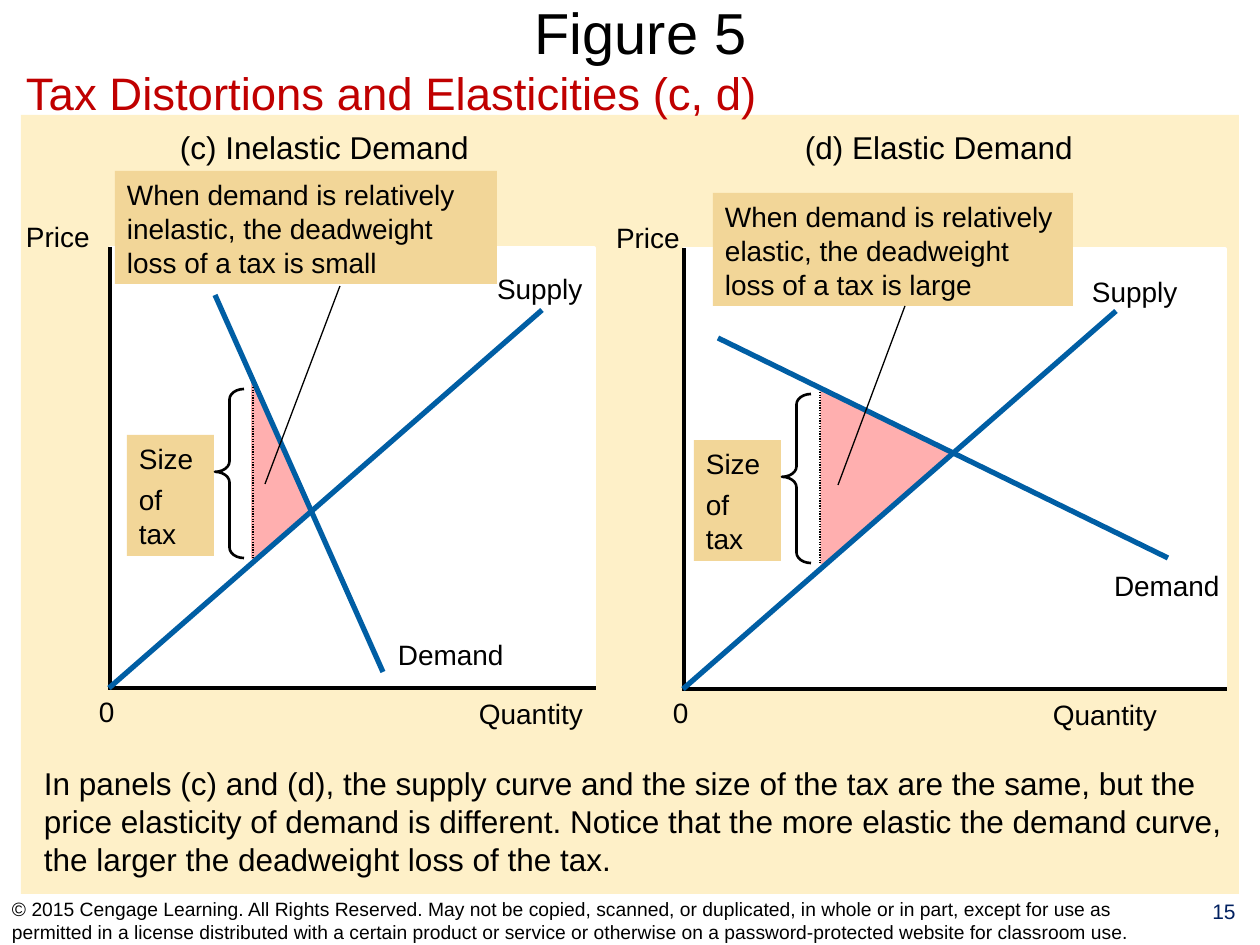
"""Build the slide on tax distortions under inelastic and elastic demand."""
import pptx
import pptx.dml.color
import pptx.enum.dml
import pptx.enum.shapes
import pptx.enum.text
import pptx.oxml.ns
import pptx.util
from lxml import etree

SCALE = 914400 / 126
BLACK = pptx.dml.color.RGBColor(0x00, 0x00, 0x00)
WHITE = pptx.dml.color.RGBColor(0xFF, 0xFF, 0xFF)
RED = pptx.dml.color.RGBColor(0xC0, 0x00, 0x00)
NAVY = pptx.dml.color.RGBColor(0x00, 0x20, 0x60)
BLUE = pptx.dml.color.RGBColor(0x00, 0x5E, 0xA4)
CREAM = pptx.dml.color.RGBColor(0xFE, 0xF0, 0xC8)
TAN = pptx.dml.color.RGBColor(0xF2, 0xD6, 0x98)
PINK = pptx.dml.color.RGBColor(0xFF, 0xAF, 0xAF)

SHAPES = pptx.enum.shapes.MSO_SHAPE
ANCHOR = pptx.enum.text.MSO_ANCHOR
CENTER = pptx.enum.text.PP_ALIGN.CENTER
LABEL_HEIGHT = 46

PANELS = [
    {
        "box": (110, 247, 484, 439),
        "heading": ("(c) Inelastic Demand", (58, -126, 330, 50)),
        "price": -96,
        "supply": (375, 18),
        "demand": (276, 384),
        "demand_line": (105, 48, 273, 425),
        "callout": ("When demand is relatively inelastic, the deadweight loss of a tax is small",
                    (5, -76, 382, 113)),
        "pointer": (155, 237, 230, 39),
        "tag": (17, 188),
        "loss": (143, 135, 55, 176),
        "apex": 0.72,
    },
    {
        "box": (684, 248, 541, 439),
        "heading": ("(d) Elastic Demand", (109, -127, 330, 50)),
        "price": -80,
        "supply": (396, 20),
        "demand": (418, 314),
        "demand_line": (34, 90, 484, 310),
        "callout": ("When demand is relatively elastic, the deadweight loss of a tax is large",
                    (29, -55, 360, 113)),
        "pointer": (154, 237, 221, 58),
        "tag": (10, 192),
        "loss": (138, 142, 129, 173),
        "apex": 0.37,
    },
]


def px(length):
    """Turn pixels into EMU."""
    return pptx.util.Emu(round(length * SCALE))


def shift(box, left, top):
    """Move a box from panel to slide coordinates."""
    return (box[0] + left, box[1] + top, *box[2:])


def write(shape, lines, size=16, color=BLACK, anchor=ANCHOR.TOP, align=None):
    """Fill a shape with paragraphs of one format."""
    frame = shape.text_frame
    frame_format = {
        "word_wrap": True, "vertical_anchor": anchor,
        "margin_left": px(12), "margin_right": px(12),
        "margin_top": px(7), "margin_bottom": px(6),
    }
    for name, value in frame_format.items():
        setattr(frame, name, value)
    for index, line in enumerate(lines):
        paragraph = frame.add_paragraph() if index else frame.paragraphs[0]
        paragraph.text = line
        paragraph.alignment = align or pptx.enum.text.PP_ALIGN.LEFT
        if index:
            paragraph.space_before = pptx.util.Pt(4)
        for name, value in {"name": "Arial", "size": pptx.util.Pt(size)}.items():
            setattr(paragraph.font, name, value)
        paragraph.font.color.rgb = color


def add_text(slide, box, text, **text_format):
    """Add a text box with one paragraph."""
    shape = slide.shapes.add_textbox(*map(px, box))
    write(shape, [text], **text_format)


def add_block(slide, kind, box, fill=None, line=None, width=2):
    """Add a preset shape with an optional fill and outline."""
    shape = slide.shapes.add_shape(kind, *map(px, box))
    shape.shadow.inherit = False
    for part, color in ((shape.fill, fill), (shape.line.fill, line)):
        if color is None:
            part.background()
        else:
            part.solid()
            part.fore_color.rgb = color
    if line is not None:
        shape.line.width = pptx.util.Pt(width)
    return shape


def add_line(slide, ends, color=BLACK, width=0.75, dash=None):
    """Add a straight line between two points."""
    line = slide.shapes.add_connector(
        pptx.enum.shapes.MSO_CONNECTOR.STRAIGHT, *map(px, ends))
    etree.SubElement(line._element.spPr, pptx.oxml.ns.qn("a:effectLst"))
    line.line.color.rgb = color
    for name, value in {"width": pptx.util.Pt(width), "dash_style": dash}.items():
        setattr(line.line, name, value)


def add_tax_size(slide, left, top):
    """Add the tax size tag with its brace and dotted tax wedge line."""
    tag = add_block(slide, SHAPES.RECTANGLE, (left, top, 87, 121), TAN)
    write(tag, ["Size", "of tax"])
    brace = add_block(slide, SHAPES.LEFT_BRACE, (left + 88, top - 46, 29, 169),
                      line=BLACK, width=1.5)
    brace.adjustments[0] = 0.36
    brace.adjustments[1] = 0.49
    add_line(slide, (left + 126, top - 48, left + 126, top + 123),
             dash=pptx.enum.dml.MSO_LINE.ROUND_DOT)


def add_loss(slide, box, apex):
    """Add the deadweight loss as a triangle pointing right."""
    left, top, width, height = box
    turned = (left + (width - height) / 2, top + (height - width) / 2, height, width)
    triangle = add_block(slide, SHAPES.ISOSCELES_TRIANGLE, turned, PINK, PINK)
    triangle.rotation = 90
    triangle.adjustments[0] = apex


def add_panel(slide, panel):
    """Add one supply and demand diagram inside its box."""
    left, top, width, height = panel["box"]

    def place(box):
        """Place a box or a point relative to the panel."""
        return shift(box, left, top)

    def place_line(ends):
        """Place both ends of a line relative to the panel."""
        return place(ends[:2]) + place(ends[2:])

    bottom = height + 2
    add_block(slide, SHAPES.RECTANGLE, place((0, 1, width, height)), WHITE, WHITE)
    add_line(slide, place_line((0, 0, 0, bottom)), width=2.25)
    add_line(slide, place_line((-2, bottom, width + 2, bottom)), width=2.25)
    add_loss(slide, place(panel["loss"]), panel["apex"])
    for ends in (panel["demand_line"], (-1, bottom, 432, 63)):
        add_line(slide, place_line(ends), BLUE, 3)

    heading, heading_box = panel["heading"]
    add_text(slide, place(heading_box), heading, size=18)
    labels = {
        "Price": (panel["price"], -34, 104),
        "Quantity": (357, 443, 148),
        "0": (-23, 441, 50),
        "Supply": (*panel["supply"], 132),
        "Demand": (*panel["demand"], 148),
    }
    for text, box in labels.items():
        add_text(slide, place((*box, LABEL_HEIGHT)), text)

    message, callout_box = panel["callout"]
    callout = add_block(slide, SHAPES.RECTANGLE, place(callout_box), TAN)
    write(callout, [message])
    add_line(slide, place_line(panel["pointer"]))
    add_tax_size(slide, *place(panel["tag"]))


def add_header(slide, left, top):
    """Add the figure number and its title."""
    add_text(slide, (left + 44, top, 1193, 62), "Figure 5", size=33,
             anchor=ANCHOR.MIDDLE, align=CENTER)
    add_text(slide, (left + 14, top + 58, 800, 68), "Tax Distortions and Elasticities (c, d)",
             size=26, color=RED)


def add_footer(slide, left, top):
    """Add the copyright line and the slide number."""
    add_text(slide, (left, top, 1187, 50),
             "© 2015 Cengage Learning. All Rights Reserved. May not be copied, scanned, or "
             "duplicated, in whole or in part, except for use as permitted in a license "
             "distributed with a certain product or service or otherwise on a "
             "password-protected website for classroom use.",
             size=11, anchor=ANCHOR.MIDDLE)
    add_text(slide, (left + 1188, top - 3, 72, 52), "15", size=12, color=NAVY, align=CENTER)


def main():
    """Build and save the presentation."""
    presentation = pptx.Presentation()
    presentation.slide_width, presentation.slide_height = px(1260), px(945)
    slide = presentation.slides.add_slide(presentation.slide_layouts[6])
    add_block(slide, SHAPES.RECTANGLE, (21, 115, 1218, 779), CREAM)
    add_header(slide, 0, 0)
    for panel in PANELS:
        add_panel(slide, panel)
    add_text(slide, (32, 757, 1208, 126),
             "In panels (c) and (d), the supply curve and the size of the tax are the same, "
             "but the price elasticity of demand is different. Notice that the more elastic "
             "the demand curve, the larger the deadweight loss of the tax.", size=18)
    add_footer(slide, 0, 895)
    presentation.save("out.pptx")


if __name__ == "__main__":
    main()
